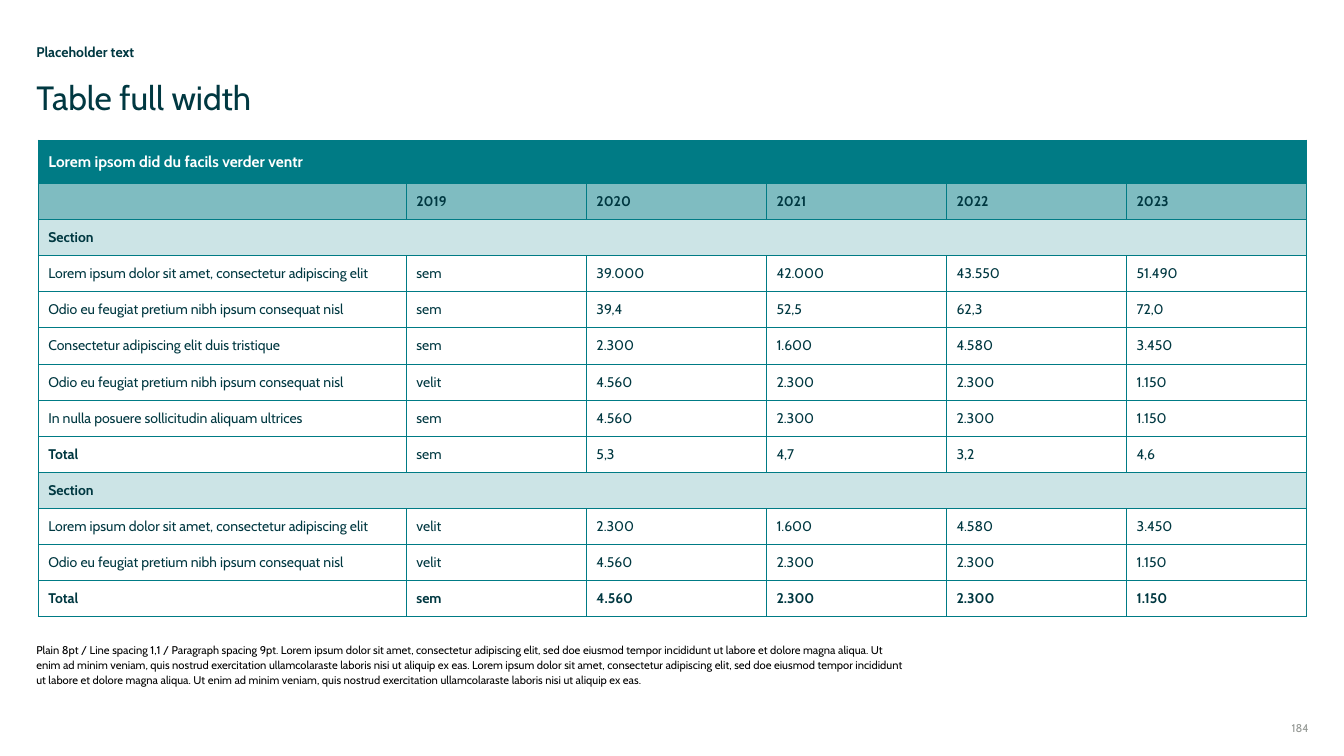
from dataclasses import dataclass

import lxml.etree
import pptx
import pptx.dml.color
import pptx.enum.text
import pptx.oxml
import pptx.oxml.ns
import pptx.util
from pptx.util import Inches


@dataclass(frozen=True)
class Theme:
    font: str = "Cabin"
    ink: str = "003841"
    teal: str = "007B85"
    white: str = "FFFFFF"
    black: str = "000000"
    grey: str = "939793"
    title: int = 24
    heading: int = 11
    body: int = 10
    small: int = 8
    border: float = 0.75
    header_alpha: int = 50
    section_alpha: int = 20


T = Theme()
qn = pptx.oxml.ns.qn
LEFT = pptx.enum.text.PP_ALIGN.LEFT
RIGHT = pptx.enum.text.PP_ALIGN.RIGHT
TOP = pptx.enum.text.MSO_ANCHOR.TOP
MIDDLE = pptx.enum.text.MSO_ANCHOR.MIDDLE

HEADING = "Lorem ipsom did du facils verder ventr"
YEARS = ["", "2019", "2020", "2021", "2022", "2023"]
LOREM = "Lorem ipsum dolor sit amet, consectetur adipiscing elit"
ODIO = "Odio eu feugiat pretium nibh ipsum consequat nisl"
ROWS = [
    ["Section"],
    [LOREM, "sem", "39.000", "42.000", "43.550", "51.490"],
    [ODIO, "sem", "39,4", "52,5", "62,3", "72,0"],
    ["Consectetur adipiscing elit duis tristique", "sem", "2.300", "1.600", "4.580", "3.450"],
    [ODIO, "velit", "4.560", "2.300", "2.300", "1.150"],
    ["In nulla posuere sollicitudin aliquam ultrices", "sem", "4.560", "2.300", "2.300", "1.150"],
    ["Total", "sem", "5,3", "4,7", "3,2", "4,6"],
    ["Section"],
    [LOREM, "velit", "2.300", "1.600", "4.580", "3.450"],
    [ODIO, "velit", "4.560", "2.300", "2.300", "1.150"],
    ["Total", "sem", "4.560", "2.300", "2.300", "1.150"],
]
FOOTNOTE = (
    "Plain 8pt / Line spacing 1,1 / Paragraph spacing 9pt. "
    "Lorem ipsum dolor sit amet, consectetur adipiscing elit, sed doe eiusmod tempor incididunt "
    "ut labore et dolore magna aliqua. Ut enim ad minim veniam, quis nostrud exercitation "
    "ullamcolaraste laboris nisi ut aliquip ex eas. "
    "Lorem ipsum dolor sit amet, consectetur adipiscing elit, sed doe eiusmod tempor incididunt "
    "ut labore et dolore magna aliqua. Ut enim ad minim veniam, quis nostrud exercitation "
    "ullamcolaraste laboris nisi ut aliquip ex eas."
)


def write(tf, text, size=T.body, color=T.ink, bold=False, align=LEFT, spacing=1.0):
    p = tf.paragraphs[0]
    p.alignment = align
    p.line_spacing = spacing
    p.space_before = pptx.util.Pt(0)
    r = p.add_run()
    r.text = text
    r.font.name = T.font
    r.font.size = pptx.util.Pt(size)
    r.font.bold = bold
    r.font.color.rgb = pptx.dml.color.RGBColor.from_string(color)


def place(sp, left, top, width, height):
    sp.left, sp.top, sp.width, sp.height = map(Inches, (left, top, width, height))
    tf = sp.text_frame
    tf.margin_left = tf.margin_right = tf.margin_top = tf.margin_bottom = 0
    tf.word_wrap = True
    tf.auto_size = pptx.enum.text.MSO_AUTO_SIZE.NONE
    tf.vertical_anchor = TOP
    return tf


def add_text(s, box, text, **fmt):
    sp = s.shapes.add_textbox(*map(Inches, box))
    write(place(sp, *box), text, **fmt)


def remove_bullet(tf):
    pPr = tf.paragraphs[0]._p.get_or_add_pPr()
    pPr.set("marL", "0")
    pPr.set("indent", "0")
    lxml.etree.SubElement(pPr, qn("a:buNone"))


def add_borders(tcPr):
    for i, side in enumerate(("a:lnL", "a:lnR", "a:lnT", "a:lnB")):
        ln = tcPr.makeelement(qn(side), {"w": str(pptx.util.Pt(T.border))})
        fill = lxml.etree.SubElement(ln, qn("a:solidFill"))
        lxml.etree.SubElement(fill, qn("a:srgbClr"), val=T.teal)
        tcPr.insert(i, ln)


def style_cell(cell, fill, alpha=100):
    cell.vertical_anchor = MIDDLE
    cell.fill.solid()
    cell.fill.fore_color.rgb = pptx.dml.color.RGBColor.from_string(fill)
    tcPr = cell._tc.get_or_add_tcPr()
    if alpha < 100:
        clr = tcPr.find(".//" + qn("a:srgbClr"))
        lxml.etree.SubElement(clr, qn("a:alpha"), val=str(alpha * 1000))
        cell.margin_top = cell.margin_bottom = 0
    add_borders(tcPr)


def fill_row(tbl, i, texts, fill, alpha=100, bolds=None, **fmt):
    cells = [tbl.cell(i, j) for j in range(len(YEARS))]
    for cell in cells:
        style_cell(cell, fill, alpha)
    if len(texts) == 1:
        cells[0].merge(cells[-1])
    for j, (cell, text) in enumerate(zip(cells, texts)):
        write(cell.text_frame, text, bold=bolds is None or j in bolds, **fmt)


def add_figures(s):
    left, top, width, height = 0.38, 1.39, 12.58, 4.73
    label_width, heading_height = 3.65, 0.43
    n_rows, n_cols = len(ROWS) + 2, len(YEARS)
    tbl = s.shapes.add_table(
        n_rows, n_cols, Inches(left), Inches(top), Inches(width), Inches(height)
    ).table
    tbl.first_row = tbl.horz_banding = False
    for j, col in enumerate(tbl.columns):
        col.width = Inches((width - label_width) / (n_cols - 1) if j else label_width)
    for i, row in enumerate(tbl.rows):
        row.height = Inches((height - heading_height) / (n_rows - 1) if i else heading_height)

    fill_row(tbl, 0, [HEADING], T.teal, size=T.heading, color=T.white)
    fill_row(tbl, 1, YEARS, T.teal, T.header_alpha)
    for i, texts in enumerate(ROWS, start=2):
        if len(texts) == 1:
            fill_row(tbl, i, texts, T.teal, T.section_alpha)
        elif i == n_rows - 1:
            fill_row(tbl, i, texts, T.white)
        else:
            fill_row(tbl, i, texts, T.white, bolds={0} if texts[0] == "Total" else set())


def main():
    prs = pptx.Presentation()
    prs.slide_width, prs.slide_height = Inches(13.33), Inches(7.5)
    s = prs.slides.add_slide(prs.slide_layouts[1])

    add_text(s, (0.36, 0.45, 12.61, 0.15), "Placeholder text", bold=True, spacing=0.9)
    title = place(s.shapes.title, 0.36, 0.81, 12.61, 0.37)
    write(title, "Table full width", size=T.title, spacing=0.9)
    add_figures(s)
    note = place(s.placeholders[1], 0.36, 6.37, 8.68, 0.53)
    remove_bullet(note)
    write(note, FOOTNOTE, size=T.small, color=T.black, spacing=1.1)
    add_text(s, (12.23, 7.16, 0.75, 0.15), "184", size=T.small, color=T.grey, align=RIGHT)

    prs.save("out.pptx")


if __name__ == "__main__":
    main()
